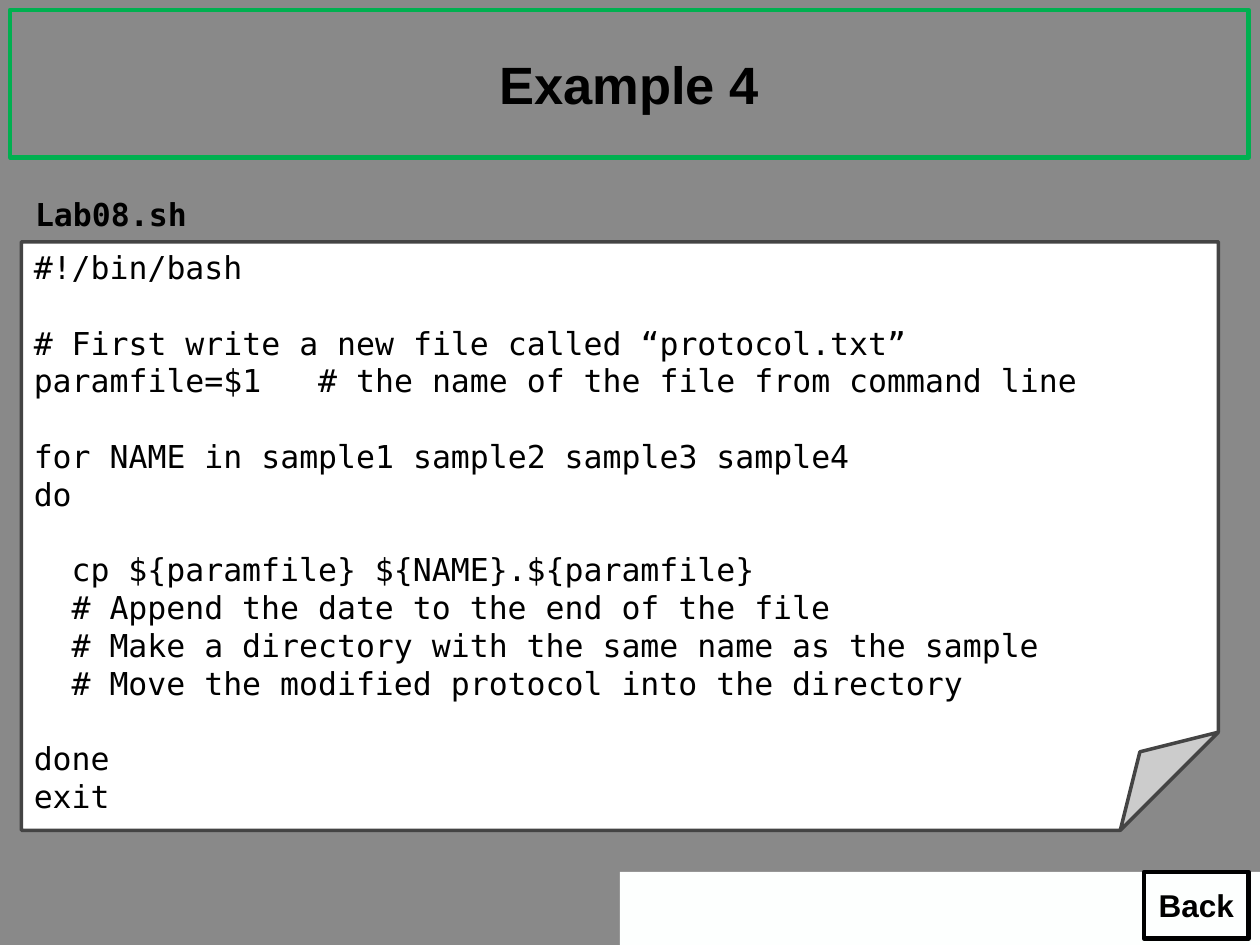
from dataclasses import dataclass

from pptx import Presentation
from pptx import util as u
from pptx.dml.color import RGBColor
from pptx.enum import shapes, text


@dataclass(frozen=True)
class Theme:
    background: str = "898989"
    footer: str = "FDFFFE"
    ink: str = "000000"
    accent: str = "00B050"
    paper: str = "FFFFFF"
    paper_edge: str = "444444"
    heading_font: str = "Arial"
    code_font: str = "DejaVu Sans Mono"
    title_size: float = 30
    body_size: float = 18
    blank_line: float = 21.6


theme = Theme()
LEFT, CENTER = text.PP_ALIGN.LEFT, text.PP_ALIGN.CENTER
TOP, MIDDLE = text.MSO_ANCHOR.TOP, text.MSO_ANCHOR.MIDDLE
RECTANGLE = shapes.MSO_SHAPE.RECTANGLE


def add_box(slide, kind, place, fill=None, line=None, width=0):
    shape = slide.shapes.add_shape(kind, *map(u.Inches, place))
    shape.shadow.inherit = False
    for paint, color in ((shape.fill, fill), (shape.line.fill, line)):
        if color:
            paint.solid()
            paint.fore_color.rgb = RGBColor.from_string(color)
        else:
            paint.background()
    if line:
        shape.line.width = u.Pt(width)
    return shape


def write_line(paragraph, words, align, font_format):
    paragraph.alignment = align
    run = paragraph.add_run()
    run.text = words
    for name, value in font_format.items():
        setattr(run.font, name, value)
    run.font.color.rgb = RGBColor.from_string(theme.ink)


presentation = Presentation()
presentation.slide_width = u.Inches(10)
presentation.slide_height = u.Inches(7.5)
slide = presentation.slides.add_slide(presentation.slide_layouts[6])
slide.background.fill.solid()
slide.background.fill.fore_color.rgb = RGBColor.from_string(theme.background)

add_box(slide, RECTANGLE, (4.92, 6.92, 5.08, 0.58), fill=theme.footer)

labels = [
    ("Example 4", (0.08, 0.08, 9.83, 1.17), theme.accent, theme.title_size),
    ("Back", (9.08, 6.92, 0.83, 0.53), theme.ink, theme.body_size),
]
for words, place, line, size in labels:
    frame = add_box(slide, RECTANGLE, place, line=line, width=2.5).text_frame
    frame.vertical_anchor = MIDDLE
    heading_format = {"name": theme.heading_font, "size": u.Pt(size), "bold": True}
    write_line(frame.paragraphs[0], words, CENTER, heading_format)

code_format = {"name": theme.code_font, "size": u.Pt(theme.body_size)}
code_blocks = [
    (0, ["#!/bin/bash"]),
    (0, [
        "# First write a new file called “protocol.txt”",
        "paramfile=$1   # the name of the file from command line",
    ]),
    (0, ["for NAME in sample1 sample2 sample3 sample4", "do"]),
    (0.3, [
        "cp ${paramfile} ${NAME}.${paramfile}",
        "# Append the date to the end of the file",
        "# Make a directory with the same name as the sample",
        "# Move the modified protocol into the directory",
    ]),
    (0, ["done", "exit"]),
]
page = add_box(slide, shapes.MSO_SHAPE.FOLDED_CORNER, (0.17, 1.92, 9.5, 4.67),
               fill=theme.paper, line=theme.paper_edge, width=2)
frame = page.text_frame
frame.vertical_anchor = TOP
for block_number, (indent, lines) in enumerate(code_blocks):
    for line_number, words in enumerate(lines):
        first = block_number == line_number == 0
        paragraph = frame.paragraphs[0] if first else frame.add_paragraph()
        write_line(paragraph, words, LEFT, code_format)
        if block_number and line_number == 0:
            paragraph.space_before = u.Pt(theme.blank_line)
        if indent:
            paragraph._p.get_or_add_pPr().set("marL", str(u.Inches(indent)))

file_label = slide.shapes.add_textbox(*map(u.Inches, (0.18, 1.5, 2.73, 0.4)))
frame = file_label.text_frame
frame.word_wrap = True
frame.auto_size = text.MSO_AUTO_SIZE.SHAPE_TO_FIT_TEXT
write_line(frame.paragraphs[0], "Lab08.sh", LEFT, {**code_format, "bold": True})

presentation.save("out.pptx")
